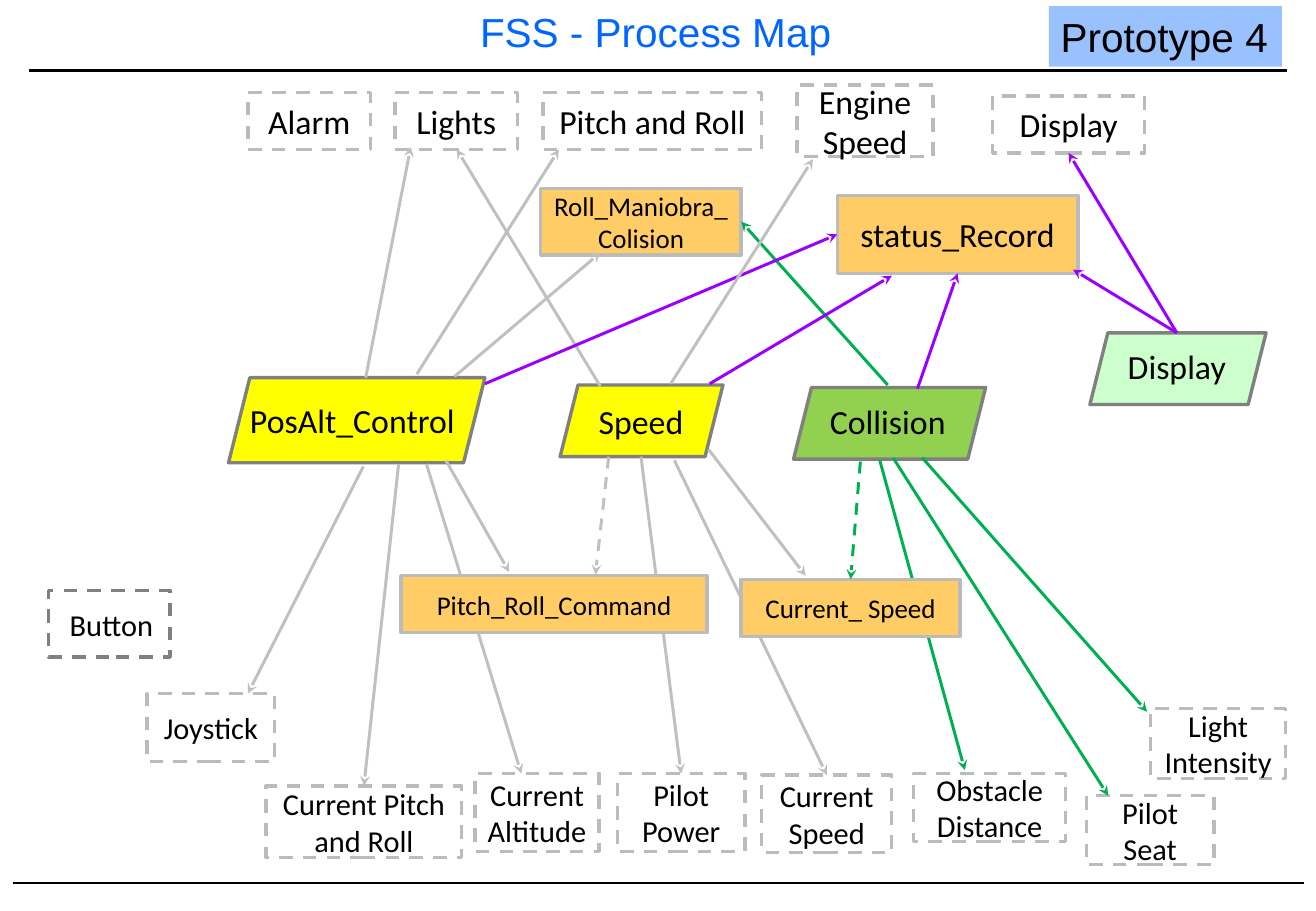
from pptx import Presentation
from pptx.dml.color import RGBColor
from pptx.enum import dml, shapes, text
from pptx.oxml.ns import qn
from pptx.util import Pt
from lxml import etree

GREY, GREEN, VIOLET = "C0C0C0", "00B050", "9900FF"
EDGE, DARK, BLACK = "BBBBBB", "808080", "000000"
GOLD, YELLOW = "FFCC66", "FFFF00"
MID, TOP = text.MSO_ANCHOR.MIDDLE, text.MSO_ANCHOR.TOP
CENTER, LEFT = text.PP_ALIGN.CENTER, text.PP_ALIGN.LEFT

DEVICES = {
    "alarm": ("Alarm", 20, (146.9, 54.7, 72.7, 33.8)),
    "lights": ("Lights", 20, (234, 54.7, 72.7, 33.8)),
    "roll": ("Pitch and Roll", 20, (321.8, 54.7, 129.6, 33.8)),
    "engine": ("Engine\nSpeed", 20, (472.3, 50.4, 80.6, 42.5)),
    "screen": ("Display", 20, (588.2, 56.9, 90, 33.8)),
    "stick": ("Joystick", 18, (87.1, 411.1, 75.6, 40.3)),
    "pitch": ("Current Pitch and Roll", 18, (157.7, 465.8, 115.9, 42.5)),
    "height": ("Current Altitude", 18, (281.5, 458.6, 73.4, 46.1)),
    "power": ("Pilot Power", 18, (365.8, 458.6, 75.6, 46.1)),
    "pace": ("Current Speed", 18, (451.4, 459.4, 77, 46.1)),
    "object": ("Obstacle\nDistance", 18, (541.4, 458.6, 90, 40.3)),
    "seat": ("Pilot Seat", 18, (643.7, 471.6, 75.6, 41)),
    "light": ("Light Intensity", 18, (681.8, 419.8, 79.9, 41.8)),
}
TASKS = {
    "control": ("PosAlt_Control", YELLOW, (135.4, 223.9, 151.9, 50.4),
                (139.7, 229, 138.2, 39.6)),
    "speed": ("Speed", YELLOW, (331.9, 228.2, 96.5, 42.5),
              (338.4, 228.2, 82.8, 42.5)),
    "crash": ("Collision", "92D050", (470.2, 229.7, 113.8, 42.5),
              (473.8, 228.2, 104.4, 42.5)),
    "show": ("Display", "CCFFCC", (645.8, 197.3, 104.4, 42.5),
             (652.3, 197.3, 90, 39.6)),
}
RECORDS = {
    "swerve": ("Roll_Maniobra_Colision", 16, (320.4, 111.6, 118.8, 39.6)),
    "status": ("status_Record", 20, (496.1, 115.9, 142.6, 46.1)),
}
COMMANDS = {
    "rate": ("Current_ Speed", 16, (439.2, 343.4, 129.6, 33.8)),
    "order": ("Pitch_Roll_Command", 16, (237.6, 341.3, 181.4, 33.8)),
}
ARROWS = [
    ((399.6, 272.9), ("pace", 0), GREY),
    (("speed", 2), ("power", 0), GREY),
    ((215.3, 276.5), (146.9, 411.1), GREY),
    ((236.2, 275), ("pitch", 0), GREY),
    ((264.2, 272.9), (301.7, 339.1), GREY),
    ((521.3, 272.9), (571.7, 456.5), GREEN),
    ((543.6, 230.4), ("status", 2), VIOLET),
    ((355.7, 229), (270.7, 88.6), GREY),
    ((216.7, 223.9), (243.4, 87.1), GREY),
    ((419.8, 266.4), (477.4, 341.3), GREY),
    ((252.7, 275), (308.9, 458.6), GREY),
    ((269.3, 223.2), (355.7, 149.8), GREY),
    ((247, 221.8), (331.2, 88.6), GREY),
    (("crash", 0), ("swerve", 3), GREEN),
    ((529.2, 271.4), (656.6, 471.6), GREEN),
    ((546.5, 271.4), (679.7, 421.9), GREEN),
    ((287.3, 227.5), ("status", 1), VIOLET),
    ((420.5, 227.5), (528.5, 163.4), VIOLET),
    (("show", 0), (635.8, 159.8), VIOLET),
    (("show", 0), ("screen", 2), VIOLET),
    ((397.4, 227.5), (481.7, 94.3), GREY),
]
DASHED = [
    ((360.7, 270.7), (352.8, 340.6), GREY),
    ((509.8, 273.6), ("rate", 0), GREEN),
]


def rgb(code):
    """Turn a hex string into a colour."""
    return RGBColor.from_string(code)


def style(run, size, font="Calibri", hue=BLACK):
    """Set the font of one run."""
    run.font.size, run.font.name = Pt(size), font
    run.font.color.rgb = rgb(hue)


def write(shape, words, size, font="Calibri", hue=BLACK, align=CENTER, anchor=MID):
    """Fill a shape with wrapped, formatted text."""
    frame = shape.text_frame
    frame.text = words
    frame.word_wrap, frame.vertical_anchor = True, anchor
    for para in frame.paragraphs:
        para.alignment = align
        for run in para.runs:
            style(run, size, font, hue)


def label(slide, words, box, size, font="Calibri", hue=BLACK):
    """Add a centred text box."""
    item = slide.shapes.add_textbox(*map(Pt, box))
    write(item, words, size, font, hue)
    return item


def block(slide, box, fill=None, edge=None, dash=False, kind="RECTANGLE"):
    """Add a preset shape with its fill and outline."""
    item = slide.shapes.add_shape(shapes.MSO_SHAPE[kind], *map(Pt, box))
    item.shadow.inherit = False
    if fill:
        item.fill.solid()
        item.fill.fore_color.rgb = rgb(fill)
    else:
        item.fill.background()
    if edge:
        item.line.color.rgb, item.line.width = rgb(edge), Pt(2)
    else:
        item.line.fill.background()
    if dash:
        item.line.dash_style = dml.MSO_LINE.DASH
    return item


def node(slide, words, size, box, fill=None):
    """Add a data box, or a dashed device box when it has no fill."""
    item = block(slide, box, fill, EDGE, dash=not fill)
    write(item, words, size)
    return item


def task(slide, words, fill, box, area):
    """Add a process and return its label."""
    block(slide, box, fill, DARK, kind="PARALLELOGRAM")
    return label(slide, words, area, 20)


def rule(slide, start, stop, hue, width):
    """Add a plain straight line."""
    line = slide.shapes.add_connector(
        shapes.MSO_CONNECTOR.STRAIGHT, *map(Pt, start + stop))
    line.line.color.rgb, line.line.width = rgb(hue), Pt(width)
    etree.SubElement(line._element.spPr, qn("a:effectLst"))
    return line


def arrow(slide, nodes, start, stop, hue, dash=False):
    """Add an arrow between points or (node, side) pairs."""
    ends = [(0, 0) if end[0] in nodes else end for end in (start, stop)]
    line = rule(slide, *ends, hue, 1.75)
    if start[0] in nodes:
        line.begin_connect(nodes[start[0]], start[1])
    if stop[0] in nodes:
        line.end_connect(nodes[stop[0]], stop[1])
    if dash:
        line.line.dash_style = dml.MSO_LINE.DASH
    etree.SubElement(line.line._get_or_add_ln(), qn("a:tailEnd"), type="stealth")


def main():
    """Build the process map."""
    deck = Presentation()
    deck.slide_width, deck.slide_height = Pt(779.76), Pt(540)
    slide = deck.slides.add_slide(deck.slide_layouts[6])
    rule(slide, (7.9, 523.4), (772.6, 523.4), BLACK, 1)
    rule(slide, (17.3, 41.8), (762.5, 41.8), BLACK, 1.5)
    label(slide, "FSS - Process Map", (244.8, 3.6, 287.3, 30.2), 24, "Arial", "0066FF")
    badge = block(slide, (621.4, 3.6, 138.2, 36), "99C1FE")
    write(badge, "Prototype 4", 24, "Arial", align=LEFT, anchor=TOP)
    button = block(slide, (28.8, 349.9, 72, 39.6), edge=DARK, dash=True)
    write(button, " ", 24, align=LEFT, anchor=TOP)
    run = button.text_frame.paragraphs[0].add_run()
    run.text = "Button"
    style(run, 18)

    nodes = {key: node(slide, *item) for key, item in DEVICES.items()}
    nodes |= {key: task(slide, *item) for key, item in TASKS.items()}
    nodes |= {key: node(slide, *item, GOLD) for key, item in RECORDS.items()}
    for item in ARROWS:
        arrow(slide, nodes, *item)
    nodes |= {key: node(slide, *item, GOLD) for key, item in COMMANDS.items()}
    for item in DASHED:
        arrow(slide, nodes, *item, dash=True)
    deck.save("out.pptx")


if __name__ == "__main__":
    main()
